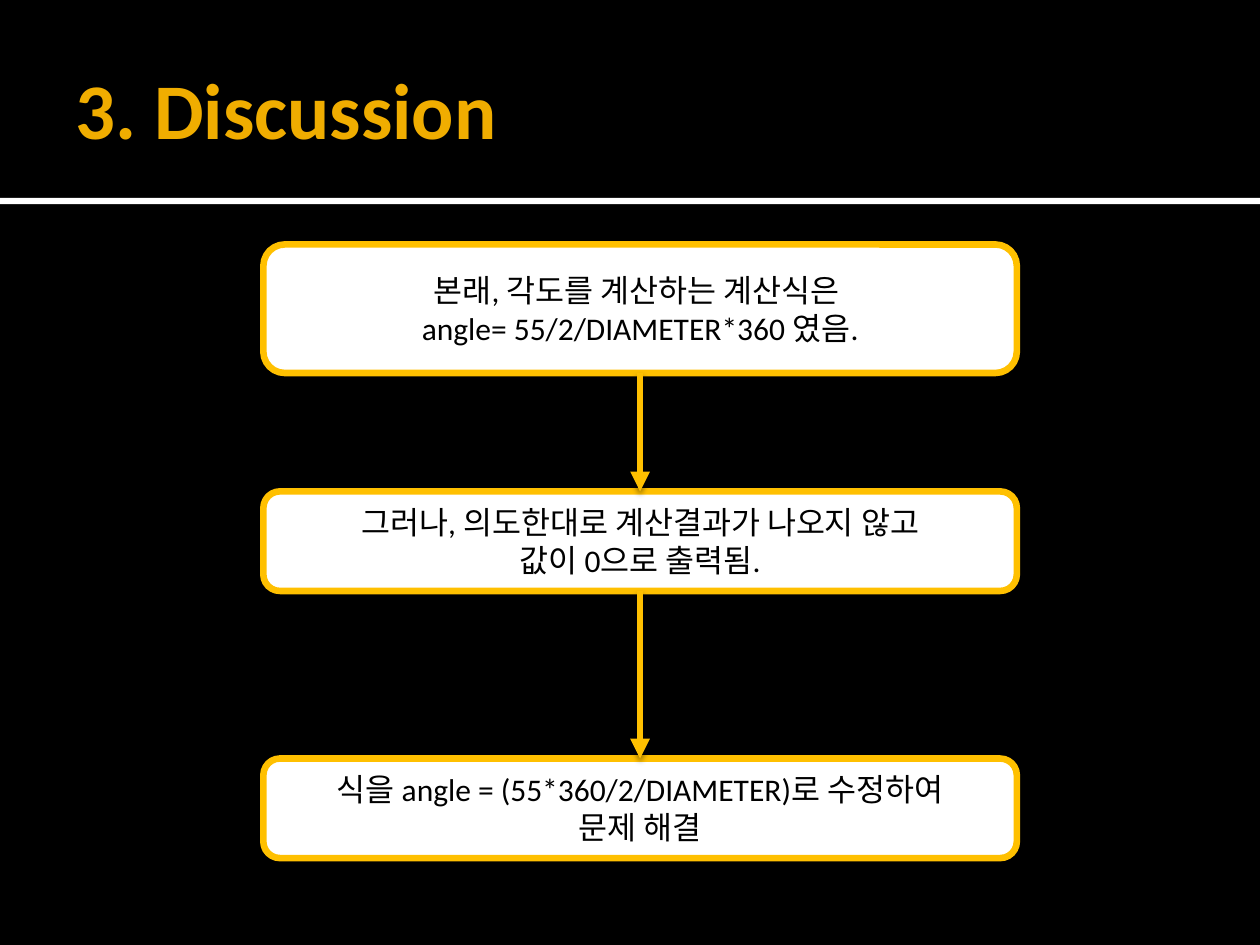
from dataclasses import dataclass

from lxml import etree
from pptx import Presentation
from pptx.dml.color import RGBColor
from pptx.enum.shapes import MSO_CONNECTOR, MSO_SHAPE
from pptx.enum.text import MSO_ANCHOR, MSO_AUTO_SIZE, PP_ALIGN
from pptx.oxml.ns import qn
from pptx.slide import Slide
from pptx.util import Inches, Pt

STRAIGHT = MSO_CONNECTOR.STRAIGHT
RECTANGLE = MSO_SHAPE.RECTANGLE
ROUNDED = MSO_SHAPE.ROUNDED_RECTANGLE
MIDDLE = MSO_ANCHOR.MIDDLE
FIXED = MSO_AUTO_SIZE.NONE
LEFT, CENTER = PP_ALIGN.LEFT, PP_ALIGN.CENTER
TITLE_ONLY = 5

WIDTH, HEIGHT = Inches(10), Inches(7.5)
STEP_LEFT, STEP_WIDTH = Inches(2.09), Inches(5.98)
STEP_CENTER = STEP_LEFT + STEP_WIDTH // 2


@dataclass(frozen=True)
class Theme:
    background: RGBColor = RGBColor(0, 0, 0)
    paper: RGBColor = RGBColor(255, 255, 255)
    ink: RGBColor = RGBColor(0, 0, 0)
    heading: RGBColor = RGBColor(0xF0, 0xAD, 0)
    accent: RGBColor = RGBColor(0xFF, 0xC0, 0)
    font: str = "Calibri"
    heading_size: Pt = Pt(45)
    body_size: Pt = Pt(18)
    border: Pt = Pt(3.78)


@dataclass(frozen=True)
class Step:
    top: float
    height: float
    lines: tuple[str, ...]

    @property
    def bottom(self) -> float:
        return self.top + self.height


THEME = Theme()
STEPS = (
    Step(1.94, 1.02, ("본래, 각도를 계산하는 계산식은 ",
                      "angle= 55/2/DIAMETER*360 였음.")),
    Step(3.9, 0.79, ("그러나, 의도한대로 계산결과가 나오지 않고",
                     "값이 0으로 출력됨.")),
    Step(6.02, 0.79, (" 식을 angle = (55*360/2/DIAMETER)로 수정하여 ",
                      "문제 해결")),
)


def write(frame, lines: tuple[str, ...], alignment: PP_ALIGN,
          size: Pt, color: RGBColor, bold: bool) -> None:
    frame.text = "\n".join(lines)
    for paragraph in frame.paragraphs:
        paragraph.alignment = alignment
        for attribute, value in {"name": THEME.font, "size": size, "bold": bold}.items():
            setattr(paragraph.font, attribute, value)
            setattr(paragraph.runs[0].font, attribute, value)
        paragraph.runs[0].font.color.rgb = color


def draw_title(slide: Slide, wording: str) -> None:
    title = slide.shapes.title
    placement = {"left": Inches(0.5), "top": Inches(0.17),
                 "width": Inches(9), "height": Inches(1.37)}
    for attribute, value in placement.items():
        setattr(title, attribute, value)
    frame_format = {"margin_left": Inches(0.1), "margin_right": Inches(0.05),
                    "margin_top": Inches(0.05), "margin_bottom": Inches(0.05),
                    "vertical_anchor": MIDDLE, "word_wrap": True, "auto_size": FIXED}
    for attribute, value in frame_format.items():
        setattr(title.text_frame, attribute, value)
    write(title.text_frame, (wording,), LEFT, THEME.heading_size, THEME.heading, True)


def draw_rule(slide: Slide) -> None:
    rule = slide.shapes.add_shape(RECTANGLE, 0, Inches(1.57), WIDTH, Inches(0.05))
    rule.shadow.inherit = False
    rule.fill.solid()
    rule.fill.fore_color.rgb = THEME.paper
    rule.line.fill.background()


def draw_step(slide: Slide, step: Step) -> None:
    card = slide.shapes.add_shape(ROUNDED, STEP_LEFT, Inches(step.top),
                                  STEP_WIDTH, Inches(step.height))
    card.shadow.inherit = False
    card.fill.solid()
    card.fill.fore_color.rgb = THEME.paper
    card.line.color.rgb = THEME.accent
    card.line.width = THEME.border
    card.text_frame.vertical_anchor = MIDDLE
    write(card.text_frame, step.lines, CENTER, THEME.body_size, THEME.ink, False)


def draw_arrow(slide: Slide, upper: Step, lower: Step) -> None:
    arrow = slide.shapes.add_connector(STRAIGHT, STEP_CENTER, Inches(upper.bottom),
                                       STEP_CENTER, Inches(lower.top))
    arrow.line.color.rgb = THEME.accent
    arrow.line.width = THEME.border
    properties = arrow.line._get_or_add_ln()
    etree.SubElement(properties, qn("a:tailEnd"), type="triangle")
    effects = etree.SubElement(properties.getparent(), qn("a:effectLst"))
    shadow = etree.SubElement(effects, qn("a:outerShdw"), blurRad=str(Pt(3.1)),
                              dist=str(Pt(2)), dir="5400000", rotWithShape="0")
    tint = etree.SubElement(shadow, qn("a:srgbClr"), val=str(THEME.background))
    etree.SubElement(tint, qn("a:alpha"), val="38000")


def main() -> None:
    deck = Presentation()
    deck.slide_width, deck.slide_height = WIDTH, HEIGHT
    slide = deck.slides.add_slide(deck.slide_layouts[TITLE_ONLY])
    slide.background.fill.solid()
    slide.background.fill.fore_color.rgb = THEME.background
    draw_rule(slide)
    draw_title(slide, "3. Discussion")
    for step in STEPS:
        draw_step(slide, step)
    for upper, lower in zip(STEPS, STEPS[1:]):
        draw_arrow(slide, upper, lower)
    deck.save("out.pptx")


if __name__ == "__main__":
    main()
